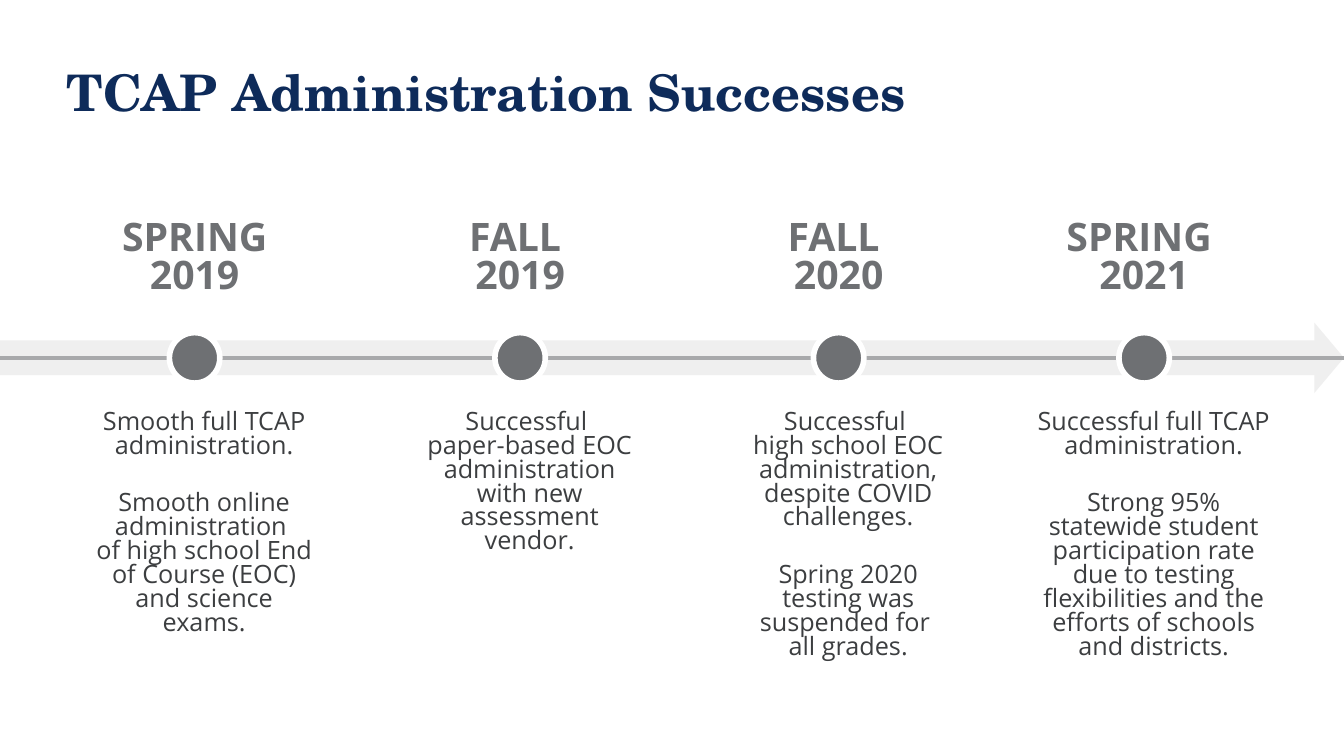
from dataclasses import dataclass

from lxml.etree import SubElement
from pptx import Presentation
from pptx.dml.color import RGBColor as Rgb
from pptx.enum.shapes import MSO_CONNECTOR as Link, MSO_SHAPE as Form
from pptx.enum.text import MSO_ANCHOR as Anchor, MSO_AUTO_SIZE as Fit, PP_ALIGN as Align
from pptx.oxml.ns import qn
from pptx.util import Inches, Pt


@dataclass(frozen=True)
class Theme:
    navy: Rgb = Rgb.from_string("0E2B5A")
    gray: Rgb = Rgb.from_string("6E7073")
    ink: Rgb = Rgb.from_string("3C3E40")
    rule: Rgb = Rgb.from_string("A8A9AB")
    band: Rgb = Rgb.from_string("EEEEEE")
    white: Rgb = Rgb.from_string("FFFFFF")
    serif: str = "TeX Gyre Schola"
    sans: str = "Open Sans"
    title: int = 36
    date: int = 28
    body: int = 18


@dataclass(frozen=True)
class Stop:
    """One milestone: centre column, date lines, body size, body paragraphs of lines."""
    mid: float
    date: list
    wide: float
    high: float
    notes: list


THEME = Theme()
WIDTH, HEIGHT = Inches(13.33), Inches(7.5)
COL, ROW = WIDTH / 100, HEIGHT / 100
AXIS = 47.33

STOPS = [
    Stop(14.48, ["SPRING 2019"], 18.3, 32.27, [
        ["Smooth full TCAP administration."],
        ["Smooth online administration ",
         "of high school End of Course (EOC) and science exams."]]),
    Stop(38.7, ["FALL ", "2019"], 18, 26.93, [
        ["Successful ",
         "paper-based EOC administration with new assessment vendor."]]),
    Stop(62.4, ["FALL ", "2020"], 18.3, 23.87, [
        ["Successful ",
         "high school EOC administration, despite COVID challenges."],
        ["Spring 2020 testing was suspended for ", "all grades."]]),
    Stop(85.13, ["SPRING ", "2021"], 19.12, 22, [
        ["Successful full TCAP administration."],
        ["Strong 95% statewide student participation rate due to testing "
         "flexibilities and the efforts of schools and districts."]]),
]


def grid(x, y, wide, high):
    """Turn columns and rows of the 100 by 100 grid into lengths."""
    return round(x * COL), round(y * ROW), round(wide * COL), round(high * ROW)


def write(para, lines, font, size, color, bold=False):
    for i, line in enumerate(lines):
        if i:
            para.add_line_break()
        run = para.add_run()
        run.text = line
        run.font.name, run.font.size = font, Pt(size)
        run.font.color.rgb, run.font.bold = color, bold


def add_frame(slide, box, side, edge):
    """Add a wrapping text box with the given inner margins."""
    frame = slide.shapes.add_textbox(*box).text_frame
    frame.word_wrap = True
    frame.margin_left = frame.margin_right = Inches(side)
    frame.margin_top = frame.margin_bottom = Inches(edge)
    return frame


def add_solid(slide, form, box, color):
    shape = slide.shapes.add_shape(form, *box)
    shape.shadow.inherit = False
    shape.fill.solid()
    shape.fill.fore_color.rgb = color
    shape.line.fill.background()
    return shape


def add_title(slide, box, text):
    title = slide.shapes.title
    title.left, title.top, title.width, title.height = box
    frame = title.text_frame
    frame.word_wrap, frame.auto_size = True, Fit.NONE
    frame.vertical_anchor = Anchor.MIDDLE
    para = frame.paragraphs[0]
    para.alignment = Align.LEFT
    write(para, [text], THEME.serif, THEME.title, THEME.navy, True)


def add_axis(slide, box):
    """Draw the pale arrow with a thin rule through its middle."""
    arrow = add_solid(slide, Form.RIGHT_ARROW, box, THEME.band)
    arrow.adjustments[0], arrow.adjustments[1] = 0.49, 0.42
    tint = arrow.fill._xPr.find(".//" + qn("a:srgbClr"))
    SubElement(tint, qn("a:alpha")).set("val", "90000")
    left, top, wide, high = box
    mid = top + high // 2
    rule = slide.shapes.add_connector(Link.STRAIGHT, left, mid, left + wide, mid)
    rule.line.color.rgb, rule.line.width = THEME.rule, Pt(3)
    SubElement(rule._element.spPr, qn("a:effectLst"))


def add_dot(slide, box):
    dot = add_solid(slide, Form.OVAL, box, THEME.gray)
    dot.line.color.rgb, dot.line.width = THEME.white, Pt(4)


def add_date(slide, box, lines):
    para = add_frame(slide, box, 0.13, 0.07).paragraphs[0]
    para.alignment, para.line_spacing = Align.CENTER, 0.8
    write(para, lines, THEME.sans, THEME.date, THEME.gray, True)


def add_notes(slide, box, notes):
    frame = add_frame(slide, box, 0.01, 0.01)
    for i, lines in enumerate(notes):
        para = frame.add_paragraph() if i else frame.paragraphs[0]
        para.level, para.alignment = 1, Align.CENTER
        para.line_spacing = 0.79
        if i < len(notes) - 1:
            para.space_after = Pt(24)
        props = para._p.get_or_add_pPr()
        props.set("marL", str(Inches(0.19)))
        props.set("indent", "0")
        write(para, lines, THEME.sans, THEME.body, THEME.ink)


def add_stop(slide, stop):
    """Place date, dot and notes centred on the milestone's column."""
    def centred(top, wide, high):
        return grid(stop.mid - wide / 2, top, wide, high)

    add_dot(slide, centred(AXIS - 3.33, 3.75, 6.67))
    add_date(slide, centred(28.4, 17.7, 15.07), stop.date)
    add_notes(slide, centred(54.27, stop.wide, stop.high), stop.notes)


def main():
    deck = Presentation()
    deck.slide_width, deck.slide_height = WIDTH, HEIGHT
    slide = deck.slides.add_slide(deck.slide_layouts.get_by_name("Title Only"))
    add_title(slide, grid(4.2, 3.33, 75.07, 17.6), "TCAP Administration Successes")
    add_axis(slide, grid(0, AXIS - 4.67, 100, 9.34))
    for stop in STOPS:
        add_stop(slide, stop)
    deck.save("out.pptx")


if __name__ == "__main__":
    main()
